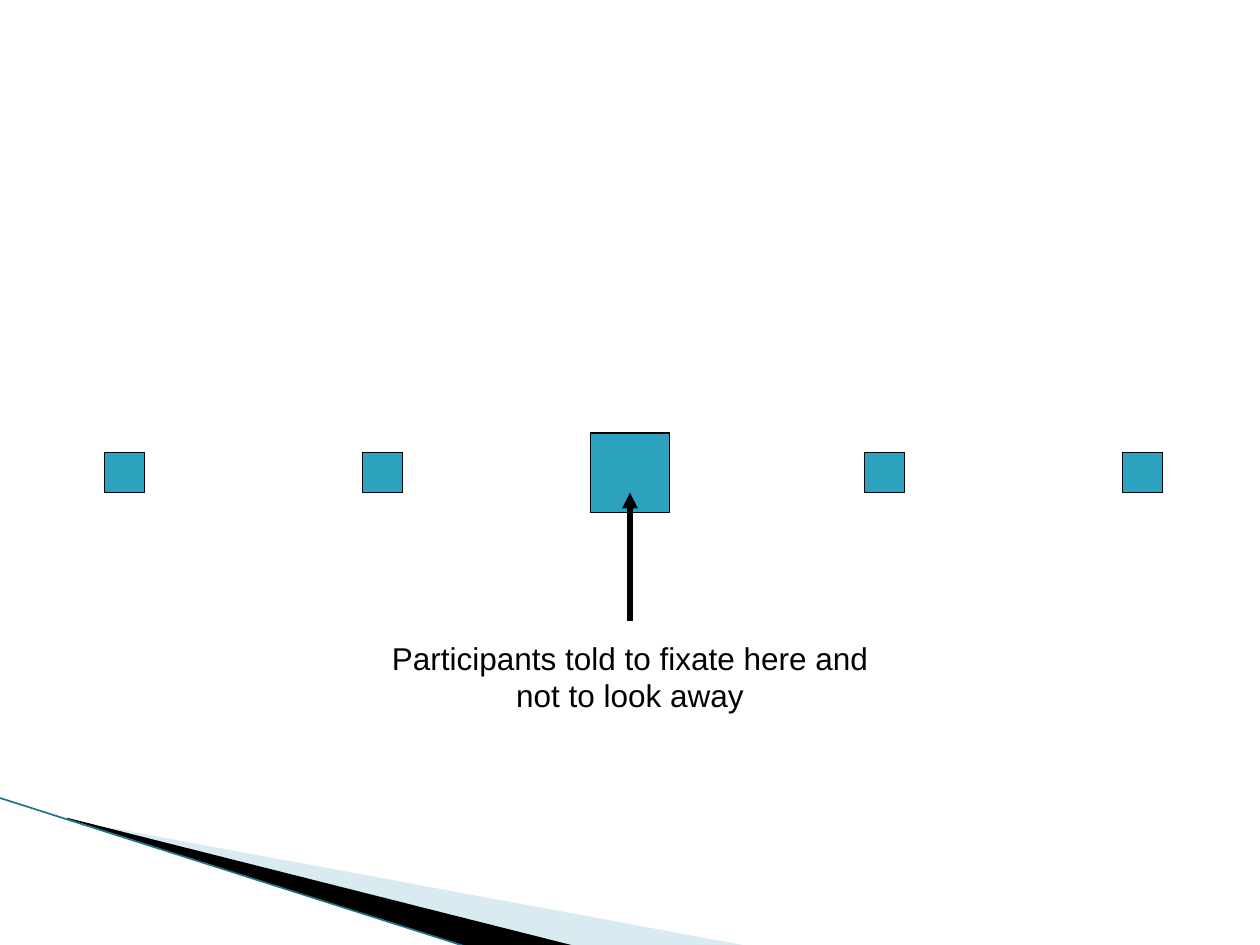
import pptx
import pptx.dml.color
import pptx.enum.shapes
import pptx.enum.text
import pptx.oxml
import pptx.oxml.ns
import pptx.util
import lxml.etree

Pt = pptx.util.Pt
qn = pptx.oxml.ns.qn


def paint(item, code):
    item.rgb = pptx.dml.color.RGBColor.from_string(code)


class Deck:
    """Holds the style and the current slide, and draws each kind of element."""

    font = "Arial"
    size = 18
    ink = "000000"
    teal = "2DA2BF"

    def __init__(self, slide):
        self.slide = slide
        self.shapes = slide.shapes

    def wedge(self, dots, code, alpha=100):
        dots = [(Pt(x), Pt(y)) for x, y in dots]
        pen = self.shapes.build_freeform(*dots[0])
        pen.add_line_segments(dots[1:], close=True)
        shape = pen.convert_to_shape()
        shape.shadow.inherit = False
        shape.fill.solid()
        paint(shape.fill.fore_color, code)
        shape.line.fill.background()
        if alpha < 100:
            tint = shape.fill._xPr.find(".//" + qn("a:srgbClr"))
            lxml.etree.SubElement(tint, qn("a:alpha"), val=str(alpha * 1000))

    def square(self, x, y, side):
        kind = pptx.enum.shapes.MSO_SHAPE.RECTANGLE
        shape = self.shapes.add_shape(kind, Pt(x), Pt(y), Pt(side), Pt(side))
        shape.shadow.inherit = False
        shape.fill.solid()
        paint(shape.fill.fore_color, self.teal)
        paint(shape.line.color, self.ink)
        shape.line.width = Pt(0.75)

    def line(self, start, end, code, width, arrow=False):
        kind = pptx.enum.shapes.MSO_CONNECTOR.STRAIGHT
        line = self.shapes.add_connector(kind, *map(Pt, start + end))
        paint(line.line.color, code)
        line.line.width = Pt(width)
        if arrow:
            stroke = line.line._get_or_add_ln()
            lxml.etree.SubElement(stroke, qn("a:tailEnd"), type="triangle")
        lxml.etree.SubElement(line._element.spPr, qn("a:effectLst"))

    def text(self, x, y, wide, high, words):
        frame = self.shapes.add_textbox(Pt(x), Pt(y), Pt(wide), Pt(high)).text_frame
        frame.word_wrap = True
        frame.auto_size = pptx.enum.text.MSO_AUTO_SIZE.SHAPE_TO_FIT_TEXT
        para = frame.paragraphs[0]
        para.alignment = pptx.enum.text.PP_ALIGN.CENTER
        run = para.add_run()
        run.text = words
        run.font.name = self.font
        run.font.size = Pt(self.size)
        paint(run.font.color, self.ink)


def main():
    show = pptx.Presentation()
    show.slide_width, show.slide_height = Pt(720), Pt(540)
    deck = Deck(show.slides.add_slide(show.slide_layouts[6]))

    deck.wedge([(39.6, 468.7), (428.4, 540.7), (328.3, 540.7), (39.6, 468)], "A0CBDC", 40)
    deck.wedge([(38.2, 467.3), (329, 540.7), (267.8, 541.4), (38.9, 468)], deck.ink)
    deck.line((-0.7, 455.8), (267.8, 541.4), "1F7488", 0.95)

    deck.square(337.3, 247.5, 45.4)
    deck.text(212.4, 361.4, 295.2, 50.4, "Participants told to fixate here and not to look away")
    deck.line((360, 355), (360, 281.5), deck.ink, 3, arrow=True)
    for left in (59.6, 493.9):
        for step in (0, 147.6):
            deck.square(left + step, 258.6, 23)

    show.save("out.pptx")


if __name__ == "__main__":
    main()
